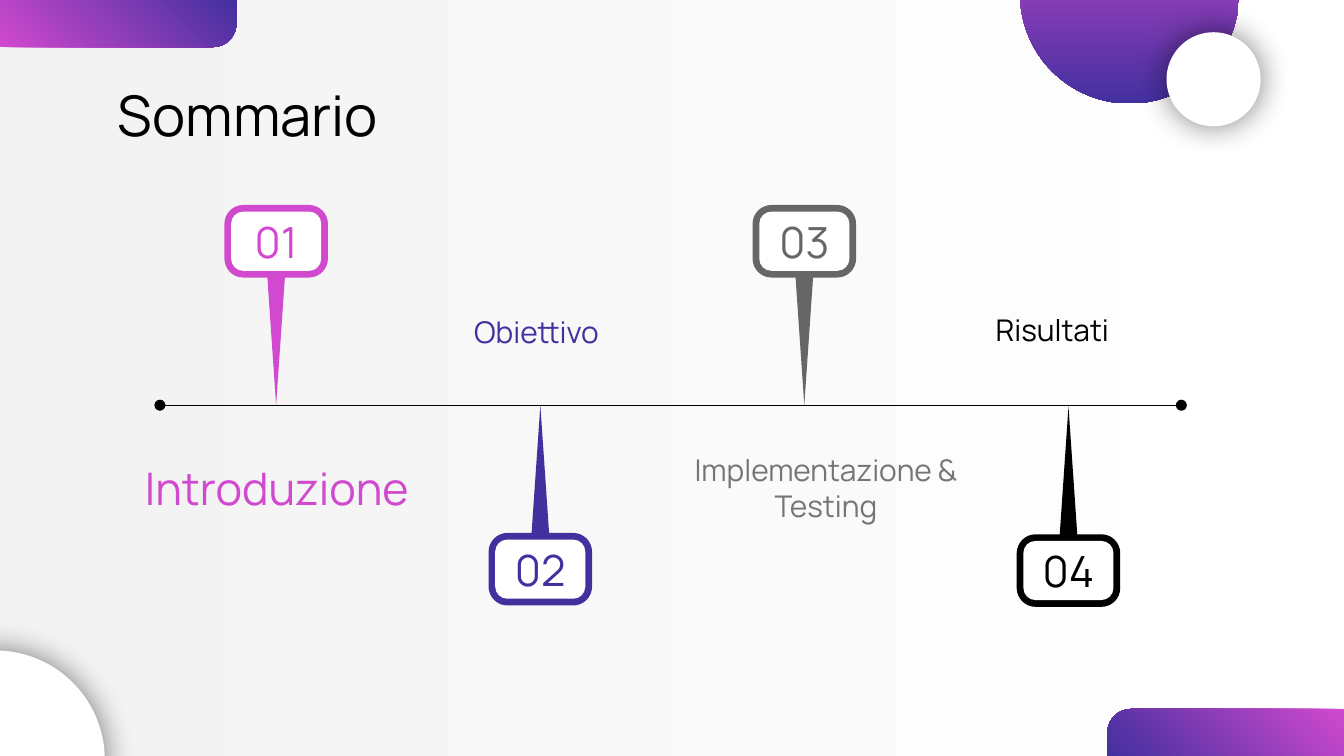
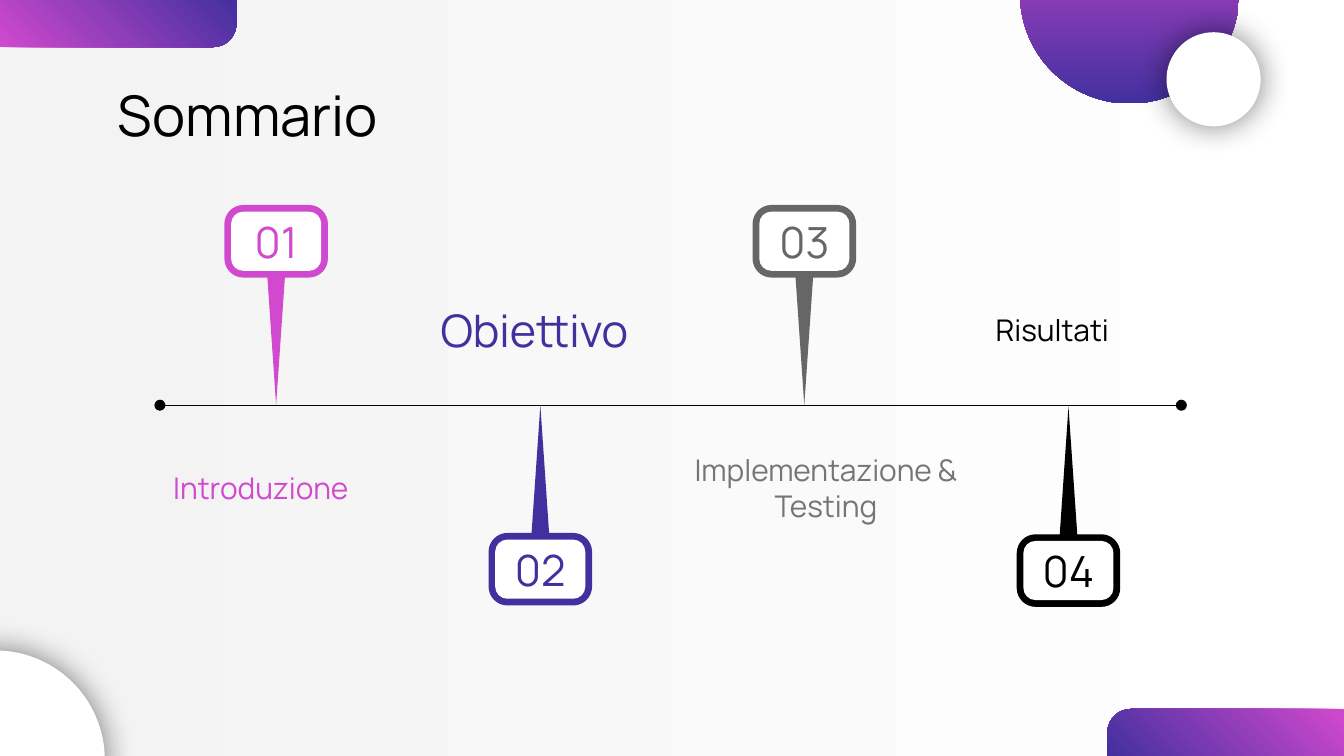
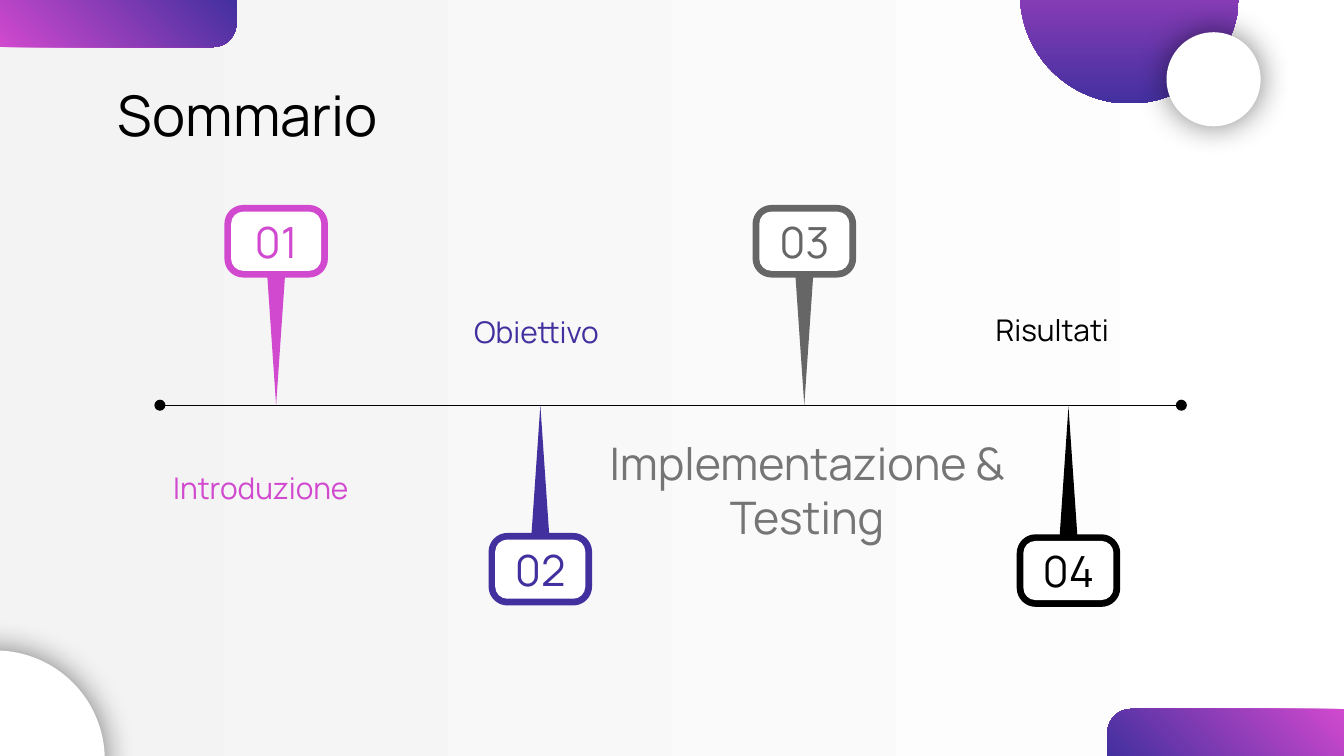
import pptx
import pptx.dml.color
import pptx.enum.shapes
import pptx.enum.text
import pptx.oxml
import pptx.oxml.ns
import pptx.util

RGBColor = pptx.dml.color.RGBColor
SHAPE = pptx.enum.shapes.MSO_SHAPE
ALIGN = pptx.enum.text.PP_ALIGN
Inches = pptx.util.Inches
qn = pptx.oxml.ns.qn
DRAWING = pptx.oxml.ns.nsdecls("a")

# Content: number, label, pin colour, label colour, alignment,
# and (left, top, width) of the label when plain and when current
PINK = RGBColor(0xD1, 0x49, 0xCE)
VIOLET = RGBColor(0x43, 0x30, 0x9F)
GRAY = RGBColor(0x66, 0x66, 0x66)
LABEL_GRAY = RGBColor(0x75, 0x75, 0x75)
BLACK = RGBColor(0, 0, 0)
WHITE = RGBColor(0xFF, 0xFF, 0xFF)
PALE = RGBColor(0xF3, 0xF3, 0xF3)

TITLE = "Sommario"
SECTIONS = [
    ("01", "Introduzione", PINK, PINK, ALIGN.LEFT,
     (1.19, 3.43, 1.72), (0.98, 3.43, 2.38)),
    ("02", "Obiettivo", VIOLET, VIOLET, ALIGN.LEFT,
     (3.43, 2.27, 1.72), (3.18, 2.26, 1.97)),
    ("03", "Implementazione & Testing", GRAY, LABEL_GRAY, ALIGN.CENTER,
     (4.99, 3.43, 2.31), (4.4, 3.45, 3.21)),
    ("04", "Risultati", BLACK, BLACK, ALIGN.LEFT,
     (7.31, 2.26, 1.72), (7.31, 2.26, 1.72)),
]
CURRENT_SECTIONS = ["01", "02", "03"]  # one slide each
LABEL_ORDER = [0, 3, 1, 2]  # from back to front

# Layout, in inches
WIDTH, HEIGHT = 10, 10 * 9 / 16
FONT = "Manrope"
LABEL_SIZE, CURRENT_SIZE, LABEL_HEIGHT = 16, 24, 0.39
AXIS_Y, AXIS_LEFT, AXIS_RIGHT = 217.1 / 72, 1.19, 8.79
PIN_LEFT, PIN_STEP = 1.67, 3.93 / 2
PIN_DROPS = [0, 0, 0, 0.01]
PIN_WIDTH, PIN_HEIGHT = 0.77, 1.49
HEAD_HEIGHT, HEAD_RADIUS = 0.54, 0.14
STEM_WIDTH = 0.13
RIM = 0.05
ROUNDNESS = 0.55  # share of the way from an arc's end to its corner
DISC = 1.63
BAND_WIDTH, BAND_HEIGHT = 1.76, 0.35


def paint_gradient(fill, start, end, angle):
    """Fill from start to end; angle runs clockwise."""
    fill.gradient()
    fill.gradient_angle = 360 - angle
    for stop, color in zip(fill.gradient_stops, (start, end)):
        stop.color.rgb = color


def paint_solid(shape, color):
    shape.shadow.inherit = False
    shape.line.fill.background()
    shape.fill.solid()
    shape.fill.fore_color.rgb = color


def write(shape, text, size, color, align):
    frame = shape.text_frame
    frame.word_wrap = True
    frame.vertical_anchor = pptx.enum.text.MSO_ANCHOR.MIDDLE
    frame.margin_left = frame.margin_right = Inches(0.1)
    frame.margin_top = frame.margin_bottom = Inches(0.1)
    paragraph = frame.paragraphs[0]
    paragraph.alignment = align
    run = paragraph.add_run()
    run.text = text
    run.font.name = FONT
    run.font.size = pptx.util.Pt(size)
    run.font.color.rgb = color


def add_text(slide, box, text, size, color, align=ALIGN.LEFT):
    write(slide.shapes.add_textbox(*map(Inches, box)), text, size, color, align)


# Decoration shared by all slides
def add_band(slide, left, top, rotation):
    band = slide.shapes.add_shape(
        SHAPE.ROUND_1_RECTANGLE, *map(Inches, (left, top, BAND_WIDTH, BAND_HEIGHT)))
    paint_solid(band, PINK)
    band.adjustments[0] = 0.5
    band.rotation = rotation
    band._element.spPr.find(qn("a:xfrm")).set("flipH", "1")
    paint_gradient(band.fill, PINK, VIOLET, 45)


def add_disc(slide, left, top, size):
    disc = slide.shapes.add_shape(
        SHAPE.OVAL, *map(Inches, (left, top, size, size)))
    paint_solid(disc, WHITE)
    return disc


def add_glow(disc):
    effects = disc._element.spPr.find(qn("a:effectLst"))
    effects.append(pptx.oxml.parse_xml(
        f'<a:outerShdw {DRAWING} blurRad="{pptx.util.Pt(16.9)}" '
        'dist="0" dir="0" algn="bl" rotWithShape="0"><a:srgbClr val="000000">'
        '<a:alpha val="50000"/></a:srgbClr></a:outerShdw>'))


def add_backdrop(slide):
    paint_gradient(slide.background.fill, WHITE, PALE, 180)
    add_band(slide, WIDTH - BAND_WIDTH, HEIGHT - BAND_HEIGHT, 0)
    add_band(slide, 0, 0, 180)
    add_glow(add_disc(slide, -0.85, 4.84, DISC))


def add_top_discs(slide):
    paint_gradient(add_disc(slide, 7.59, -0.86, DISC).fill, PINK, VIOLET, 90)
    add_glow(add_disc(slide, 8.68, 0.24, 0.7))


# Timeline
def rounded_box(left, top, width, height, radius):
    """Clockwise (point, corner) pairs; a corner means an arc leads there."""
    right, bottom = left + width, top + height
    return [
        ((left + radius, bottom), None),
        ((left, bottom - radius), (left, bottom)),
        ((left, top + radius), None),
        ((left + radius, top), (left, top)),
        ((right - radius, top), None),
        ((right, top + radius), (right, top)),
        ((right, bottom - radius), None),
        ((right - radius, bottom), (right, bottom)),
    ]


def bend(segment, start, end, corner, origin):
    """Turn a straight path segment into a curve around its corner."""
    controls = [[p + ROUNDNESS * (c - p) for p, c in zip(point, corner)]
                for point in (start, end)]
    curve = pptx.oxml.parse_xml(f"<a:cubicBezTo {DRAWING}/>")
    for x, y in (*controls, end):
        curve.append(pptx.oxml.parse_xml(
            f'<a:pt {DRAWING} x="{Inches(x) - origin[0]}" '
            f'y="{Inches(y) - origin[1]}"/>'))
    segment.getparent().replace(segment, curve)


def add_outline(slide, outline, color):
    points = [point for point, corner in outline]
    start, *rest = [(Inches(x), Inches(y)) for x, y in points]
    builder = slide.shapes.build_freeform(*start)
    builder.add_line_segments(rest, close=True)
    shape = builder.convert_to_shape()
    segments = list(shape._element.iter(qn("a:lnTo")))
    for index, segment in enumerate(segments):
        end, corner = outline[index + 1]
        if corner:
            bend(segment, points[index], end, corner, (shape.left, shape.top))
    paint_solid(shape, color)
    return shape


def add_pin(slide, index):
    number, _, color, *_ = SECTIONS[index]
    hangs = index % 2 == 1  # every second pin is turned to hang below the axis
    left = PIN_LEFT + index * PIN_STEP
    top = AXIS_Y + PIN_DROPS[index] if hangs else AXIS_Y - PIN_HEIGHT
    center, base = left + PIN_WIDTH / 2, top + HEAD_HEIGHT
    pin = add_outline(slide, [
        ((center, top + PIN_HEIGHT), None),
        ((center - STEM_WIDTH / 2, base), None),
        *rounded_box(left, top, PIN_WIDTH, HEAD_HEIGHT, HEAD_RADIUS),
        ((center + STEM_WIDTH / 2, base), None),
    ], color)
    pin.rotation = 180 if hangs else 0
    head_top = top + PIN_HEIGHT - HEAD_HEIGHT if hangs else top
    plate = add_outline(slide, rounded_box(
        left + RIM, head_top + RIM, PIN_WIDTH - 2 * RIM,
        HEAD_HEIGHT - 2 * RIM, HEAD_RADIUS - RIM), WHITE)
    write(plate, number, 23, color, ALIGN.CENTER)


def add_axis(slide):
    axis = slide.shapes.add_connector(
        pptx.enum.shapes.MSO_CONNECTOR.STRAIGHT,
        *map(Inches, (AXIS_LEFT, AXIS_Y, AXIS_RIGHT, AXIS_Y)))
    axis.line.color.rgb = BLACK
    axis.line.width = pptx.util.Pt(0.75)
    line = axis.line._get_or_add_ln()
    for end in ("headEnd", "tailEnd"):
        line.append(pptx.oxml.parse_xml(
            f'<a:{end} {DRAWING} type="oval" w="med" len="med"/>'))
    axis._element.spPr.append(pptx.oxml.parse_xml(f"<a:effectLst {DRAWING}/>"))


def add_label(slide, section, current):
    number, label, _, color, align, plain, enlarged = section
    place, size = ((enlarged, CURRENT_SIZE) if number == current
                   else (plain, LABEL_SIZE))
    add_text(slide, (*place, LABEL_HEIGHT), label, size, color, align)


def add_summary(deck, current):
    slide = deck.slides.add_slide(deck.slide_layouts[6])
    add_backdrop(slide)
    add_text(slide, (0.78, 0.59, 8.44, 0.52), TITLE, 30, BLACK)
    add_pin(slide, 0)
    add_axis(slide)
    for index in LABEL_ORDER:
        add_label(slide, SECTIONS[index], current)
    for index in range(1, len(SECTIONS)):
        add_pin(slide, index)
    add_top_discs(slide)


def main():
    deck = pptx.Presentation()
    deck.slide_width, deck.slide_height = Inches(WIDTH), Inches(HEIGHT)
    for current in CURRENT_SECTIONS:
        add_summary(deck, current)
    deck.save("out.pptx")


if __name__ == "__main__":
    main()
